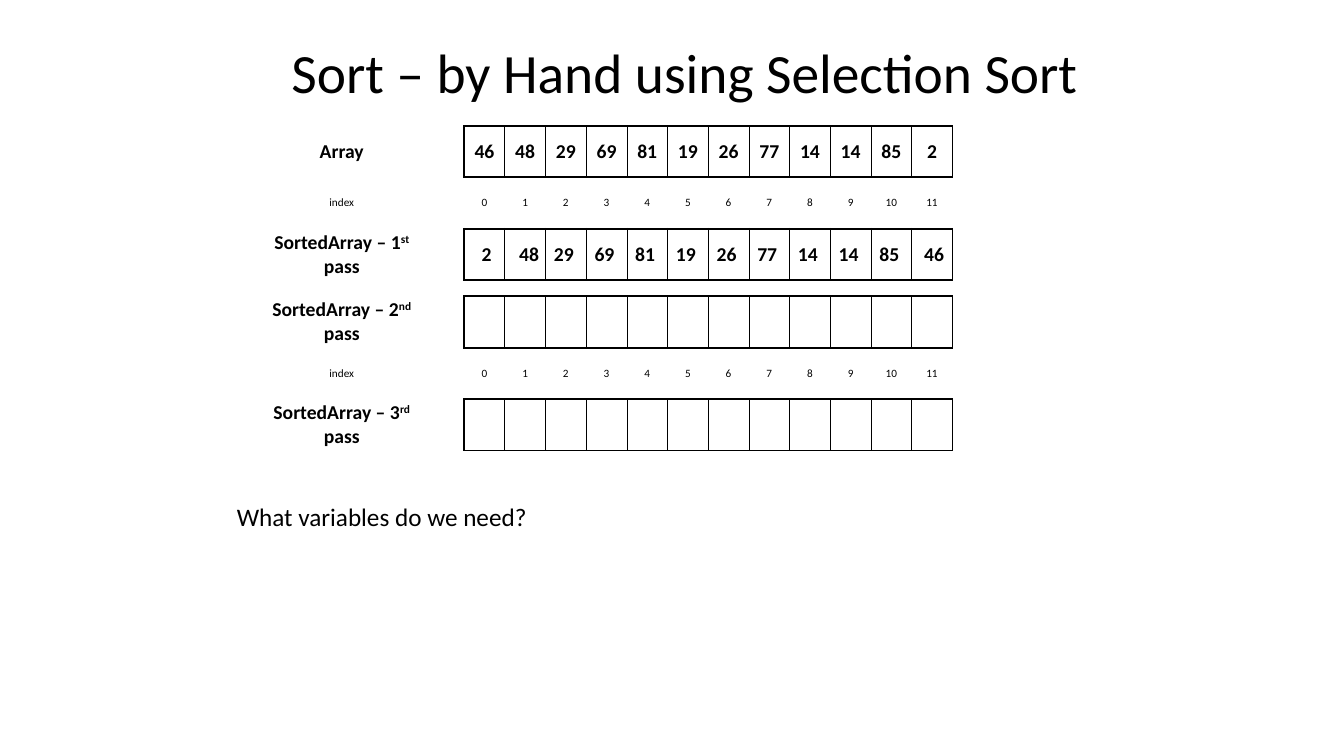
from lxml.etree import SubElement
from pptx import Presentation
from pptx.dml.color import RGBColor
from pptx.enum.text import MSO_ANCHOR, PP_ALIGN
from pptx.oxml.ns import qn
from pptx.util import Inches, Pt

COLORS = {"ink": "000000"}
THIN, THICK = 0.5, 1.5
FIRST = 2
COUNT = 12
HEIGHT = 0.51
LABEL = 1.62
CELL = (6.87 - LABEL) / (COUNT + 1)
INDEX = [str(i) for i in range(COUNT)]
NUDGE = 0.04


class Deck:
    def __init__(self, width, height):
        self.show = Presentation()
        self.show.slide_width = Inches(width)
        self.show.slide_height = Inches(height)
        self.slide = self.show.slides.add_slide(self.show.slide_layouts[6])
        self.font = "Calibri"

    def add_runs(self, frame, runs, size, bold=False, align=PP_ALIGN.CENTER):
        para = frame.paragraphs[0]
        para.alignment = align
        for words, base in runs:
            run = para.add_run()
            run.text = words
            run.font.name = self.font
            run.font.size = Pt(size)
            run.font.bold = bold
            run.font.color.rgb = RGBColor.from_string(COLORS["ink"])
            if base:
                run._r.get_or_add_rPr().set("baseline", str(base * 1000))

    def text(self, box, words, size, align, anchor):
        frame = self.slide.shapes.add_textbox(*map(Inches, box)).text_frame
        frame.word_wrap = True
        frame.vertical_anchor = anchor
        self.add_runs(frame, [(words, 0)], size, align=align)

    def border(self, cell, widths):
        props = cell._tc.get_or_add_tcPr()
        for side in "LRTB":
            line = SubElement(props, qn("a:ln" + side))
            if side in widths:
                line.set("w", str(Pt(widths[side])))
                fill = SubElement(line, qn("a:solidFill"))
                SubElement(fill, qn("a:srgbClr"), val=COLORS["ink"])
            else:
                SubElement(line, qn("a:noFill"))

    def table(self, left, top, rows):
        width = LABEL + CELL * (COUNT + 1)
        box = map(Inches, (left, top, width, HEIGHT * len(rows)))
        grid = self.slide.shapes.add_table(len(rows), COUNT + FIRST, *box).table
        grid.first_row = grid.horz_banding = False
        for col, part in enumerate(grid.columns):
            part.width = Inches(CELL if col else LABEL)
        for row, (label, values, shifts) in enumerate(rows):
            grid.rows[row].height = Inches(HEIGHT)
            data = row != 1
            size = 14 if data else 8
            for col in range(COUNT + FIRST):
                cell = grid.cell(row, col)
                self.border(cell, edges(col, data))
                cell.fill.background()
                cell.vertical_anchor = MSO_ANCHOR.MIDDLE
                spot = col - FIRST
                shift = shifts[spot] if shifts and spot >= 0 else 0
                cell.margin_left = Inches(max(shift, 0))
                cell.margin_right = Inches(max(-shift, 0))
                cell.margin_top = cell.margin_bottom = 0
                if col == 0:
                    self.add_runs(cell.text_frame, label, size, data)
                elif spot >= 0 and values:
                    self.add_runs(cell.text_frame, [(values[spot], 0)], size, data)


def edges(col, data):
    if col < FIRST:
        return {"R": THICK} if data and col == 1 else {}
    sides = {"T": THICK, "B": THICK}
    if data:
        sides.update(L=THICK if col == FIRST else THIN, R=THIN)
    return sides


def step(count, tail):
    return [(f"SortedArray – {count}", 0), (tail, 30), (" pass", 0)]


start = "46 48 29 69 81 19 26 77 14 14 85 2".split()
after = [start[-1], *start[1:-1], start[0]]
shifts = [NUDGE, 2 * NUDGE] + [-NUDGE] * (COUNT - 3) + [NUDGE]
index = ([("index", 0)], INDEX, None)

deck = Deck(13.33, 7.5)
deck.text((2.25, 0.33, 9.08, 0.76), "Sort – by Hand using Selection Sort", 39.6,
          PP_ALIGN.CENTER, MSO_ANCHOR.MIDDLE)
deck.table(2.58, 1.25, [([("Array", 0)], start, None), index,
                        (step(1, "st"), after, shifts)])
deck.table(2.58, 2.94, [(step(2, "nd"), None, None), index,
                        (step(3, "rd"), None, None)])
deck.text((2.25, 4.92, 3.25, 0.71), "What variables do we need?", 18,
          PP_ALIGN.LEFT, MSO_ANCHOR.TOP)
deck.show.save("out.pptx")
